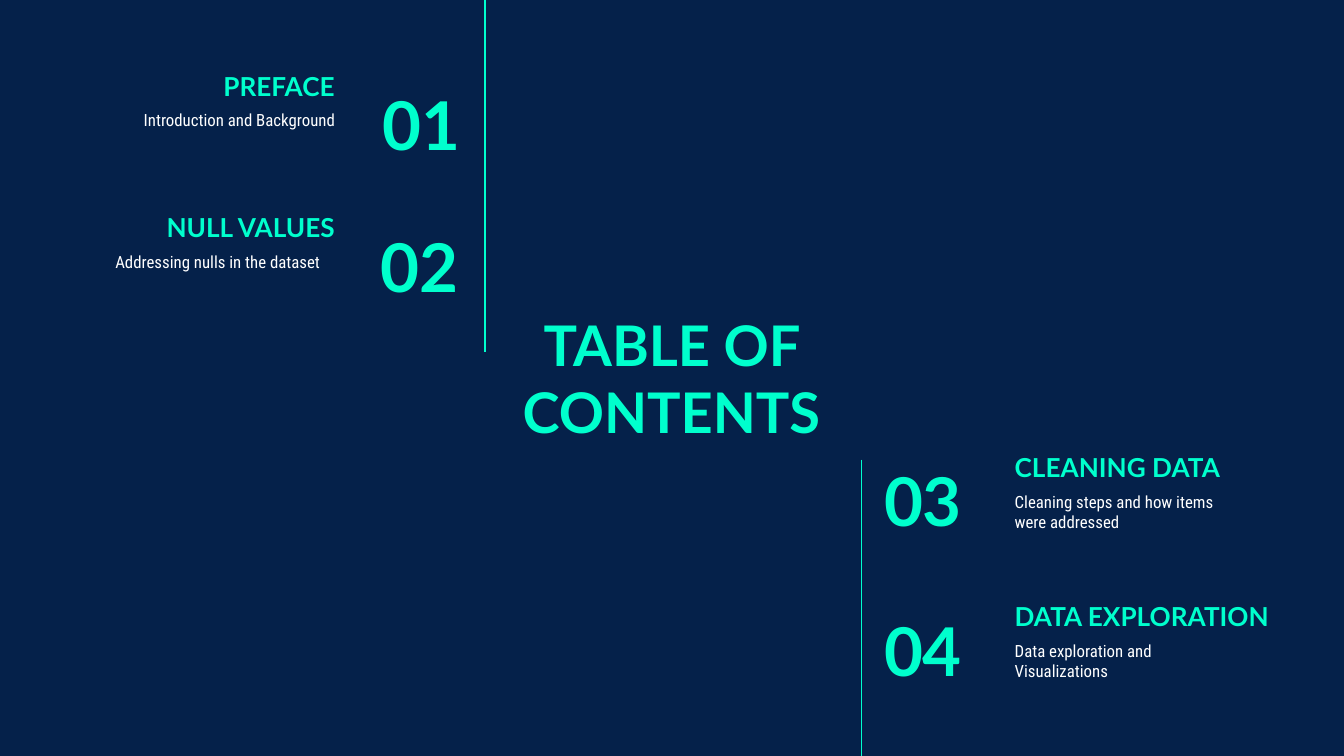
from lxml import etree
from pptx import Presentation
from pptx.dml.color import RGBColor
from pptx.enum import shapes, text
from pptx.oxml.ns import qn
from pptx.util import Pt

COLORS = {"navy": "05214A", "mint": "00FFCD", "white": "FFFFFF"}
LEFT, CENTER, RIGHT = text.PP_ALIGN.LEFT, text.PP_ALIGN.CENTER, text.PP_ALIGN.RIGHT
TOP, MIDDLE, BOTTOM = text.MSO_ANCHOR.TOP, text.MSO_ANCHOR.MIDDLE, text.MSO_ANCHOR.BOTTOM


def write(sp, words, size, align, anchor, font="Lato", color="mint", bold=True):
    tf = sp.text_frame
    tf.word_wrap = True
    tf.auto_size = text.MSO_AUTO_SIZE.NONE
    tf.vertical_anchor = anchor
    tf.margin_left = tf.margin_right = tf.margin_top = tf.margin_bottom = Pt(7.2)
    p = tf.paragraphs[0]
    p.alignment = align
    p.line_spacing = 1.0
    r = p.add_run()
    r.text = words
    r.font.name = font
    r.font.size = Pt(size)
    r.font.bold = bold
    r.font.color.rgb = RGBColor.from_string(COLORS[color])


prs = Presentation()
prs.slide_width, prs.slide_height = Pt(720), Pt(405)
s = prs.slides.add_slide(prs.slide_layouts[5])
s.background.fill.solid()
s.background.fill.fore_color.rgb = RGBColor.from_string(COLORS["navy"])

title = s.shapes.title
title.left, title.top, title.width, title.height = Pt(266.5), Pt(165.5), Pt(186.5), Pt(74)
write(title, "TABLE OF CONTENTS", 30, CENTER, MIDDLE)

# Number, heading, description, top of heading, heading x, description x,
# number x, number offset below heading, heading alignment, description alignment
ROW_H = 45.5
DESCRIPTION_OFFSET = 35.7
sections = [
    ("01", "PREFACE", "Introduction and Background",
     16, 31, 54.7, 167, 27.4, RIGHT, RIGHT),
    ("02", "NULL VALUES", "Addressing nulls in the dataset",
     92, 31, 54.7, 165.6, 27.4, RIGHT, LEFT),
    ("03", "CLEANING DATA", "Cleaning steps and how items were addressed",
     220.4, 536.5, 536.5, 466.5, 24.6, LEFT, LEFT),
    ("04", "DATA EXPLORATION", "Data exploration and Visualizations",
     300.2, 536.5, 536.5, 466.5, 25, LEFT, LEFT),
]
for (number, heading, description, y, heading_x, description_x, number_x,
     number_dy, align, description_align) in sections:
    sp = s.shapes.add_textbox(Pt(heading_x), Pt(y), Pt(155.5), Pt(ROW_H))
    write(sp, heading, 14, align, BOTTOM)
    sp = s.shapes.add_textbox(Pt(description_x), Pt(y + DESCRIPTION_OFFSET), Pt(131.8), Pt(ROW_H))
    write(sp, description, 9, description_align, TOP, "Roboto Condensed", "white", False)
    sp = s.shapes.add_textbox(Pt(number_x), Pt(y + number_dy), Pt(87), Pt(ROW_H))
    write(sp, number, 36, align, MIDDLE)

for x, y1, y2 in [(259.9, 0, 188.6), (461.5, 246.2, 405)]:
    line = s.shapes.add_connector(shapes.MSO_CONNECTOR.STRAIGHT, Pt(x), Pt(y1), Pt(x), Pt(y2))
    line.line.color.rgb = RGBColor.from_string(COLORS["mint"])
    line.line.width = Pt(0.75)
    etree.SubElement(line._element.spPr, qn("a:effectLst"))

prs.save("out.pptx")
